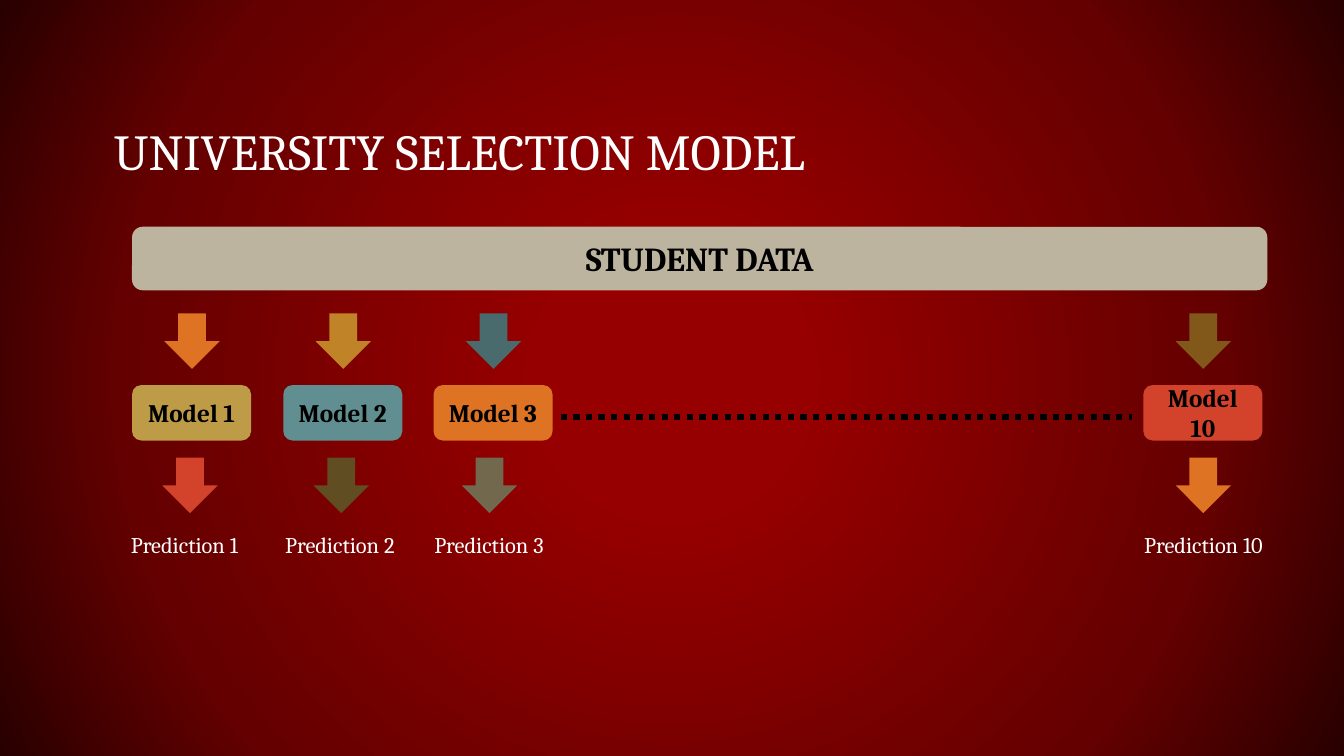
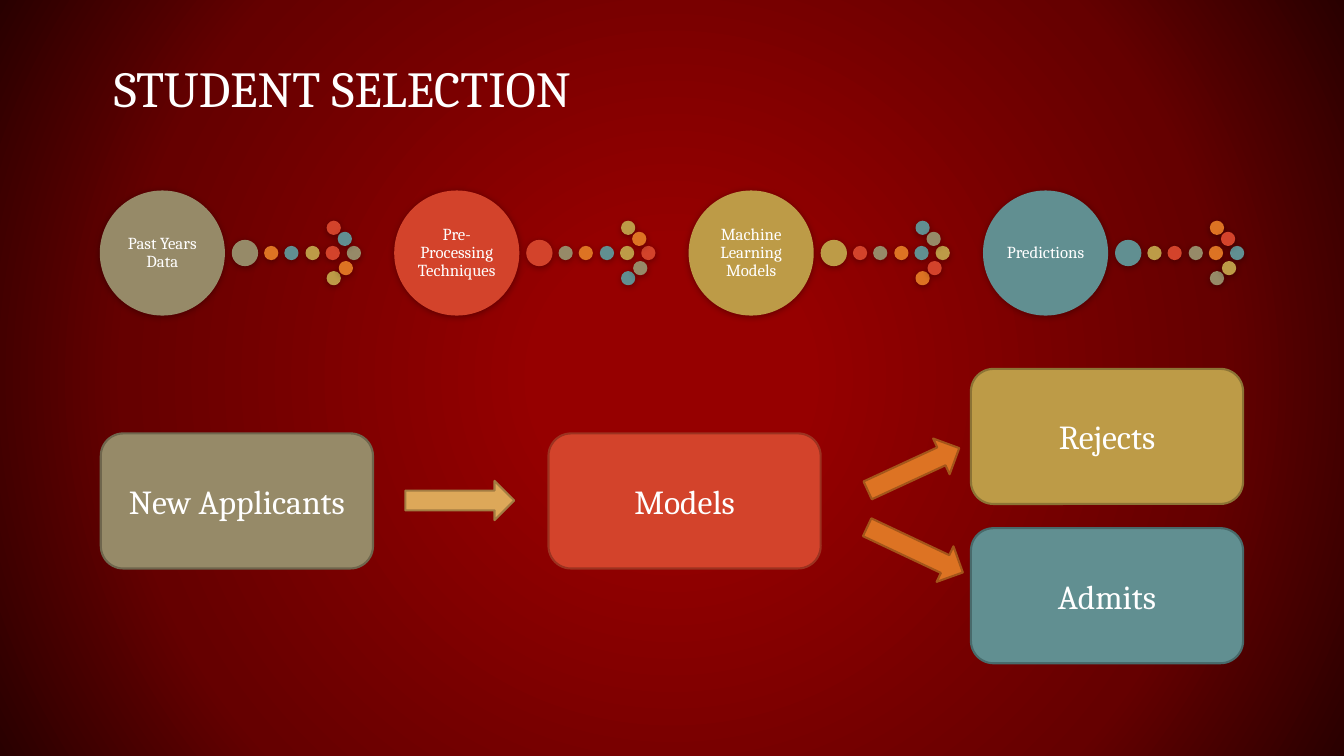
from pptx import Presentation
from pptx import util as u
from pptx.dml.color import RGBColor
from pptx.enum import dml, shapes, text
from pptx.oxml import parse_xml
from pptx.oxml.ns import nsdecls, qn
from lxml import etree

PX = 9144
FONT = "Cambria"
WHITE = RGBColor(0xFF, 0xFF, 0xFF)
BLACK = RGBColor(0x00, 0x00, 0x00)
STONE = RGBColor(0xBC, 0xB4, 0x9E)
TAUPE = RGBColor(0x96, 0x8A, 0x68)
RED = RGBColor(0xD3, 0x43, 0x2B)
GOLD = RGBColor(0xBD, 0x9B, 0x47)
TEAL = RGBColor(0x61, 0x8F, 0x91)
ORANGE = RGBColor(0xDD, 0x73, 0x23)
OCHRE = RGBColor(0xC1, 0x83, 0x28)
SLATE = RGBColor(0x49, 0x6B, 0x6D)
BROWN = RGBColor(0x81, 0x58, 0x1A)
OLIVE = RGBColor(0x60, 0x4E, 0x22)
MOSS = RGBColor(0x71, 0x68, 0x4E)
SAND = RGBColor(0xDD, 0xA8, 0x59)
TAUPE_EDGE = RGBColor(0x6F, 0x66, 0x4D)
RED_EDGE = RGBColor(0x9C, 0x32, 0x20)
GOLD_EDGE = RGBColor(0x8C, 0x73, 0x35)
TEAL_EDGE = RGBColor(0x48, 0x6A, 0x6B)
SAND_EDGE = RGBColor(0xA3, 0x7C, 0x42)
ORANGE_EDGE = RGBColor(0xA3, 0x55, 0x1A)
GLOW = ((17, RGBColor(0x96, 0x00, 0x00)), (71, RGBColor(0x65, 0x00, 0x00)),
        (100, RGBColor(0x29, 0x00, 0x00)))

KIND = shapes.MSO_SHAPE
ALIGN = text.PP_ALIGN
ANCHOR = text.MSO_ANCHOR
WHEEL = (TAUPE, RED, GOLD, TEAL, ORANGE)
DOTS = ((245, 55, 12), (224, 55, 12), (204, 55, 12), (183, 55, 12), (163, 55, 12),
        (131, 49, 24), (225, 30, 12), (225, 80, 12), (236, 41, 12), (237, 70, 12))


def px(*sizes):
    return [u.Emu(size * PX) for size in sizes]


def set_back(master):
    stops = "".join(f'<a:gs pos="{pos * 1000}"><a:srgbClr val="{color}"/></a:gs>'
                    for pos, color in GLOW)
    tree = master.element.cSld
    for old in tree.findall(qn("p:bg")):
        tree.remove(old)
    tree.insert(0, parse_xml(
        f'<p:bg {nsdecls("p", "a")}><p:bgPr><a:gradFill rotWithShape="1">'
        f'<a:gsLst>{stops}</a:gsLst><a:path path="circle">'
        '<a:fillToRect l="50000" t="50000" r="50000" b="50000"/></a:path>'
        '</a:gradFill><a:effectLst/></p:bgPr></p:bg>'))


def write(frame, words, size, color=WHITE, bold=False, align=ALIGN.CENTER, space=1.0):
    para = frame.paragraphs[0]
    para.alignment = align
    para.line_spacing = space
    run = para.add_run()
    run.text = words
    run.font.name = FONT
    run.font.size = u.Pt(size)
    run.font.bold = bold
    run.font.color.rgb = color


def add_shape(slide, kind, box, fill, edge=None, turn=0):
    shape = slide.shapes.add_shape(kind, *px(*box))
    shape.shadow.inherit = False
    shape.fill.solid()
    shape.fill.fore_color.rgb = fill
    shape.rotation = turn
    if edge is None:
        shape.line.fill.background()
    else:
        shape.line.color.rgb = edge
        shape.line.width = u.Pt(1.5)
    shape.text_frame.word_wrap = True
    shape.text_frame.vertical_anchor = ANCHOR.MIDDLE
    return shape


def add_card(slide, box, fill, words, size, color=WHITE, bold=False, edge=None):
    card = add_shape(slide, KIND.ROUNDED_RECTANGLE, box, fill, edge)
    write(card.text_frame, words, size, color, bold)


def add_disc(slide, left, top, size, fill):
    disc = add_shape(slide, KIND.OVAL, (left, top, size, size), fill, fill)
    disc.element.spPr.find(qn("a:effectLst")).append(parse_xml(
        f'<a:outerShdw {nsdecls("a")} blurRad="{u.Pt(5)}" dist="{u.Pt(1)}" '
        'dir="5400000" rotWithShape="0"><a:srgbClr val="000000">'
        '<a:alpha val="32000"/></a:srgbClr></a:outerShdw>'))
    return disc


def add_title(slide, words, height):
    frame = slide.shapes.add_textbox(*px(100, 53, 1133, height)).text_frame
    frame.word_wrap = True
    frame.vertical_anchor = ANCHOR.BOTTOM
    frame.margin_left, frame.margin_right = px(13, 13)
    frame.margin_top, frame.margin_bottom = px(7, 7)
    write(frame, words, 36, align=ALIGN.LEFT, space=0.8)


def add_label(slide, box, words):
    frame = slide.shapes.add_textbox(*px(*box)).text_frame
    frame.word_wrap = False
    frame.auto_size = text.MSO_AUTO_SIZE.SHAPE_TO_FIT_TEXT
    write(frame, words, 16, align=ALIGN.LEFT, space=0.9)


def add_dots(slide, left, right, level):
    line = slide.shapes.add_connector(shapes.MSO_CONNECTOR.STRAIGHT,
                                      *px(left, level, right, level))
    line.line.color.rgb = BLACK
    line.line.width = u.Pt(4.5)
    line.line.dash_style = dml.MSO_LINE.ROUND_DOT
    etree.SubElement(line.element.spPr, qn("a:effectLst"))


def add_chain(slide, index, words):
    left, top = 100 + 292 * index, 190
    for step, (right, down, size) in enumerate(DOTS):
        fill = WHEEL[(index + step) % len(WHEEL)]
        add_disc(slide, left + right, top + down, size, fill)
    frame = add_disc(slide, left, top, 122, WHEEL[index]).text_frame
    frame.margin_left, frame.margin_right = px(2, 2)
    frame.margin_top, frame.margin_bottom = px(2, 2)
    write(frame, words, 12, space=0.9)


def draw_models(slide):
    add_title(slide, "UNIVERSITY SELECTION MODEL", 133)
    add_card(slide, (131, 225, 1126, 63), STONE, "STUDENT DATA", 24, BLACK, True)
    columns = (
        (1, 131, 161, 120, 137, OCHRE and ORANGE, GOLD, RED),
        (2, 281, 311, 273, 137, OCHRE, TEAL, OLIVE),
        (3, 430, 458, 421, 137, SLATE, ORANGE, MOSS),
        (10, 1134, 1166, 1125, 149, BROWN, RED, ORANGE),
    )
    for number, left, lower, label, width, first, fill, last in columns:
        add_shape(slide, KIND.DOWN_ARROW, (left + 32, 311, 55, 55), first)
        add_card(slide, (left, 382, 118, 55), fill, f"Model {number}", 18, BLACK, True)
        add_shape(slide, KIND.DOWN_ARROW, (lower, 454, 55, 55), last)
        add_label(slide, (label, 525, width, 34), f"Prediction {number}")
    add_dots(slide, 556, 1123, 414)


def draw_choice(slide):
    add_title(slide, "STUDENT SELECTION", 70)
    stages = ("Past Years Data", "Pre-Processing Techniques",
              "Machine Learning Models", "Predictions")
    for index, words in enumerate(stages):
        add_chain(slide, index, words)
    cards = (
        (100, 430, TAUPE, TAUPE_EDGE, "New Applicants"),
        (544, 430, RED, RED_EDGE, "Models"),
        (963, 366, GOLD, GOLD_EDGE, "Rejects"),
        (963, 524, TEAL, TEAL_EDGE, "Admits"),
    )
    for left, top, fill, edge, words in cards:
        add_card(slide, (left, top, 270, 134), fill, words, 24, edge=edge)
    arrows = (
        (402, 477, 108, SAND, SAND_EDGE, 0),
        (856, 446, 100, ORANGE, ORANGE_EDGE, 335.2),
        (855, 526, 105, ORANGE, ORANGE_EDGE, 25.3),
    )
    for left, top, width, fill, edge, turn in arrows:
        add_shape(slide, KIND.RIGHT_ARROW, (left, top, width, 39), fill, edge, turn)


def main():
    deck = Presentation()
    deck.slide_width, deck.slide_height = px(1333, 750)
    set_back(deck.slide_master)
    for draw in (draw_models, draw_choice):
        draw(deck.slides.add_slide(deck.slide_layouts[6]))
    deck.save("out.pptx")


if __name__ == "__main__":
    main()
